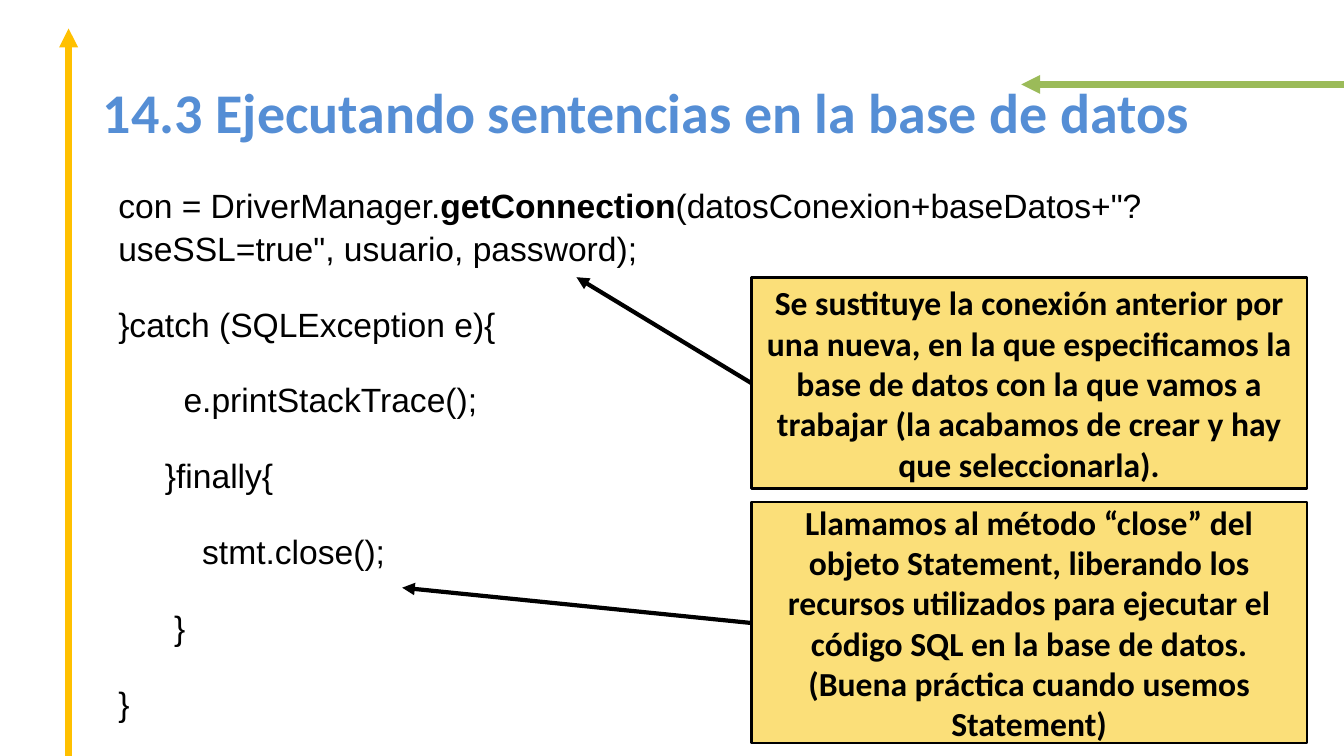
from dataclasses import dataclass

from lxml.etree import SubElement
from pptx import Presentation
from pptx.dml.color import RGBColor
from pptx.enum.shapes import MSO_CONNECTOR as Connector, MSO_SHAPE as Shape
from pptx.enum.text import MSO_ANCHOR as Anchor, PP_ALIGN as Align
from pptx.oxml.ns import qn
from pptx.util import Pt


@dataclass(frozen=True)
class Theme:
    heading: str = "558ED5"
    ink: str = "000000"
    note_fill: str = "FBDF79"
    green: str = "9BBB59"
    amber: str = "FFC000"
    title_size: int = 40
    body_size: int = 24
    heading_font: str = "Calibri"
    code_font: str = "Arial"


THEME = Theme()

CODE_LINES = [
    ("con = DriverManager.", "getConnection",
     '(datosConexion+baseDatos+"?useSSL=true", usuario, password);'),
    ("}catch (SQLException e){",),
    ("       e.printStackTrace();",),
    ("     }finally{",),
    ("         stmt.close();",),
    ("      }",),
    ("}",),
]
CONNECTION_NOTE = (
    "Se sustituye la conexión anterior por una nueva, en la que especificamos la "
    "base de datos con la que vamos a trabajar (la acabamos de crear y hay que "
    "seleccionarla)."
)
CLOSE_NOTE = (
    "Llamamos al método “close” del objeto Statement, liberando los recursos "
    "utilizados para ejecutar el código SQL en la base de datos. (Buena práctica "
    "cuando usemos Statement)"
)


def rgb(code):
    return RGBColor.from_string(code)


def style(run, font, size, color, bold):
    run.font.name = font
    run.font.size = Pt(size)
    run.font.color.rgb = rgb(color)
    run.font.bold = bold


def place(shape, box):
    shape.left, shape.top, shape.width, shape.height = map(Pt, box)


def add_arrow(slide, start, end, color, weight):
    arrow = slide.shapes.add_connector(Connector.STRAIGHT, *map(Pt, start + end))
    arrow.line.color.rgb = rgb(color)
    arrow.line.width = Pt(weight)
    SubElement(arrow.line._get_or_add_ln(), qn("a:tailEnd"), type="triangle")
    SubElement(arrow._element.spPr, qn("a:effectLst"))


def set_title(slide, text, box):
    title = slide.shapes.title
    place(title, box)
    frame = title.text_frame
    frame.text = text
    frame.word_wrap = True
    frame.vertical_anchor = Anchor.MIDDLE
    heading = frame.paragraphs[0]
    heading.alignment = Align.LEFT
    style(heading.runs[0], THEME.heading_font, THEME.title_size, THEME.heading, True)


def add_code(slide, lines, box):
    frame = slide.shapes.add_textbox(*map(Pt, box)).text_frame
    frame.word_wrap = True
    for number, pieces in enumerate(lines):
        statement = frame.add_paragraph() if number else frame.paragraphs[0]
        statement.space_before = Pt(12 if number else 0)
        statement.space_after = Pt(12)
        statement.line_spacing = 1.05
        for position, piece in enumerate(pieces):
            run = statement.add_run()
            run.text = piece
            style(run, THEME.code_font, THEME.body_size, THEME.ink, position == 1)


def add_note(slide, text, box):
    note = slide.shapes.add_shape(Shape.RECTANGLE, *map(Pt, box))
    note.shadow.inherit = False
    note.fill.solid()
    note.fill.fore_color.rgb = rgb(THEME.note_fill)
    note.line.color.rgb = rgb(THEME.ink)
    note.line.width = Pt(2)
    frame = note.text_frame
    frame.text = text
    frame.word_wrap = True
    frame.vertical_anchor = Anchor.MIDDLE
    remark = frame.paragraphs[0]
    remark.alignment = Align.CENTER
    style(remark.runs[0], THEME.heading_font, THEME.body_size, THEME.ink, True)


def main():
    deck = Presentation()
    deck.slide_width, deck.slide_height = Pt(960), Pt(540)
    slide = deck.slides.add_slide(deck.slide_layouts[5])

    add_arrow(slide, (960, 60.3), (729.5, 60.3), THEME.green, 4.5)
    add_arrow(slide, (49, 540), (49, 20.3), THEME.amber, 4.5)
    set_title(slide, "14.3 Ejecutando sentencias en la base de datos",
              (66.3, 31.7, 867.6, 95.8))
    add_code(slide, CODE_LINES, (77.4, 127.4, 867.6, 414.7))

    note_left, note_width = 536.6, 397
    notes = [
        (CONNECTION_NOTE, 198, 151.2, 273.6, (411.8, 198)),
        (CLOSE_NOTE, 358.6, 172.1, 445, (287.3, 419.8)),
    ]
    for text, top, height, arrow_top, target in notes:
        add_note(slide, text, (note_left, top, note_width, height))
        add_arrow(slide, (note_left, arrow_top), target, THEME.ink, 3)

    deck.save("out.pptx")


if __name__ == "__main__":
    main()
